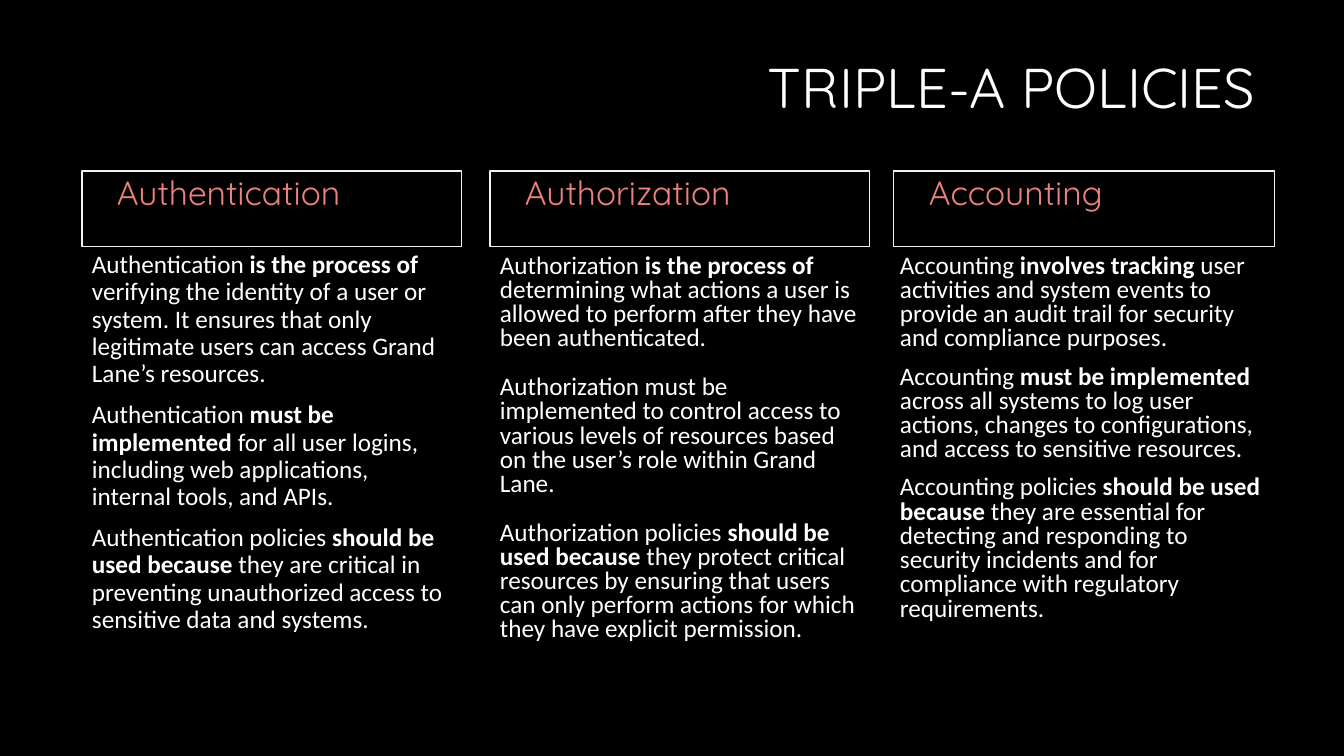
from pptx import Presentation, util as u
from pptx.dml.color import RGBColor
from pptx.enum import shapes, text

PX = 914400 / 100.8
WHITE = "FFFFFF"
HEADING_TOP, HEADING_HEIGHT, BODY_HEIGHT = 171, 76, 424

POLICIES = [
    {"heading": "Authentication", "box": (82, 380), "body": (82, 247), "spacing": 0.9, "gap": 10,
     "paragraphs": [
         ("Authentication ", "is the process of",
          " verifying the identity of a user or system. It ensures that only legitimate "
          "users can access Grand Lane’s resources."),
         ("Authentication ", "must be implemented",
          " for all user logins, including web applications, internal tools, and APIs."),
         ("Authentication policies ", "should be used because",
          " they are critical in preventing unauthorized access to sensitive data and systems."),
     ]},
    {"heading": "Authorization", "box": (490, 380), "body": (490, 250), "spacing": 0.8, "gap": 17.5,
     "paragraphs": [
         ("Authorization ", "is the process of",
          " determining what actions a user is allowed to perform after they have been "
          "authenticated."),
         ("Authorization must be implemented to control access to various levels of resources "
          "based on the user’s role within Grand Lane.",),
         ("Authorization policies ", "should be used because",
          " they protect critical resources by ensuring that users can only perform actions "
          "for which they have explicit permission."),
     ]},
    {"heading": "Accounting", "box": (894, 381), "body": (890, 250), "spacing": 0.8, "gap": 10,
     "paragraphs": [
         ("Accounting ", "involves tracking",
          " user activities and system events to provide an audit trail for security and "
          "compliance purposes."),
         ("Accounting ", "must be implemented",
          " across all systems to log user actions, changes to configurations, and access to "
          "sensitive resources."),
         ("Accounting policies ", "should be used because",
          " they are essential for detecting and responding to security incidents and for "
          "compliance with regulatory requirements."),
     ]},
]


def px(length):
    """Turn pixels into EMU."""
    return u.Emu(round(length * PX))


def color(value):
    """Turn a hex string into a colour."""
    return RGBColor.from_string(value)


def style(paragraph, font, size, ink, spacing=0.9):
    """Set the font, colour and line spacing of a paragraph."""
    paragraph.font.name = font
    paragraph.font.size = u.Pt(size)
    paragraph.font.color.rgb = color(ink)
    paragraph.line_spacing = spacing


def add_title(slide, left, top, width, height):
    """Place the right-aligned slide title."""
    title = slide.shapes.add_textbox(px(left), px(top), px(width), px(height)).text_frame
    title.word_wrap = True
    title.vertical_anchor = text.MSO_ANCHOR.MIDDLE
    line = title.paragraphs[0]
    line.text = "TRIPLE-A POLICIES"
    line.alignment = text.PP_ALIGN.RIGHT
    style(line, "Quicksand", 40, WHITE)


def add_heading(slide, heading, left, top, width, height):
    """Place an outlined box with the name of a policy."""
    box = slide.shapes.add_shape(shapes.MSO_SHAPE.RECTANGLE,
                                 px(left), px(top), px(width), px(height))
    box.shadow.inherit = False
    box.fill.background()
    box.line.color.rgb = color("F2F2F2")
    box.line.width = u.Pt(0.75)
    box.text_frame.vertical_anchor = text.MSO_ANCHOR.TOP
    box.text_frame.margin_left = px(35)
    line = box.text_frame.paragraphs[0]
    line.text = heading
    line.alignment = text.PP_ALIGN.LEFT
    style(line, "Quicksand", 24, "EC827E")


def add_body(slide, policy, left, top, width, height):
    """Place the paragraphs of a policy, the second part of each in bold."""
    body = slide.shapes.add_textbox(px(left), px(top), px(width), px(height)).text_frame
    body.word_wrap = True
    for number, parts in enumerate(policy["paragraphs"]):
        paragraph = body.add_paragraph() if number else body.paragraphs[0]
        style(paragraph, "Calibri", 18, WHITE, policy["spacing"])
        paragraph.space_before = u.Pt(policy["gap"])
        for position, part in enumerate(parts):
            run = paragraph.add_run()
            run.text = part
            run.font.bold = position == 1


def add_policy(slide, policy):
    """Place one column: heading box and body."""
    left, width = policy["box"]
    add_heading(slide, policy["heading"], left, HEADING_TOP, width, HEADING_HEIGHT)
    add_body(slide, policy, *policy["body"], width, BODY_HEIGHT)


def main():
    """Build and save the slide."""
    deck = Presentation()
    deck.slide_width, deck.slide_height = px(1344), px(756)
    slide = deck.slides.add_slide(deck.slide_layouts[6])
    slide.background.fill.solid()
    slide.background.fill.fore_color.rgb = color("000000")
    add_title(slide, 315, 42, 950, 97)
    for policy in POLICIES:
        add_policy(slide, policy)
    deck.save("out.pptx")


if __name__ == "__main__":
    main()
